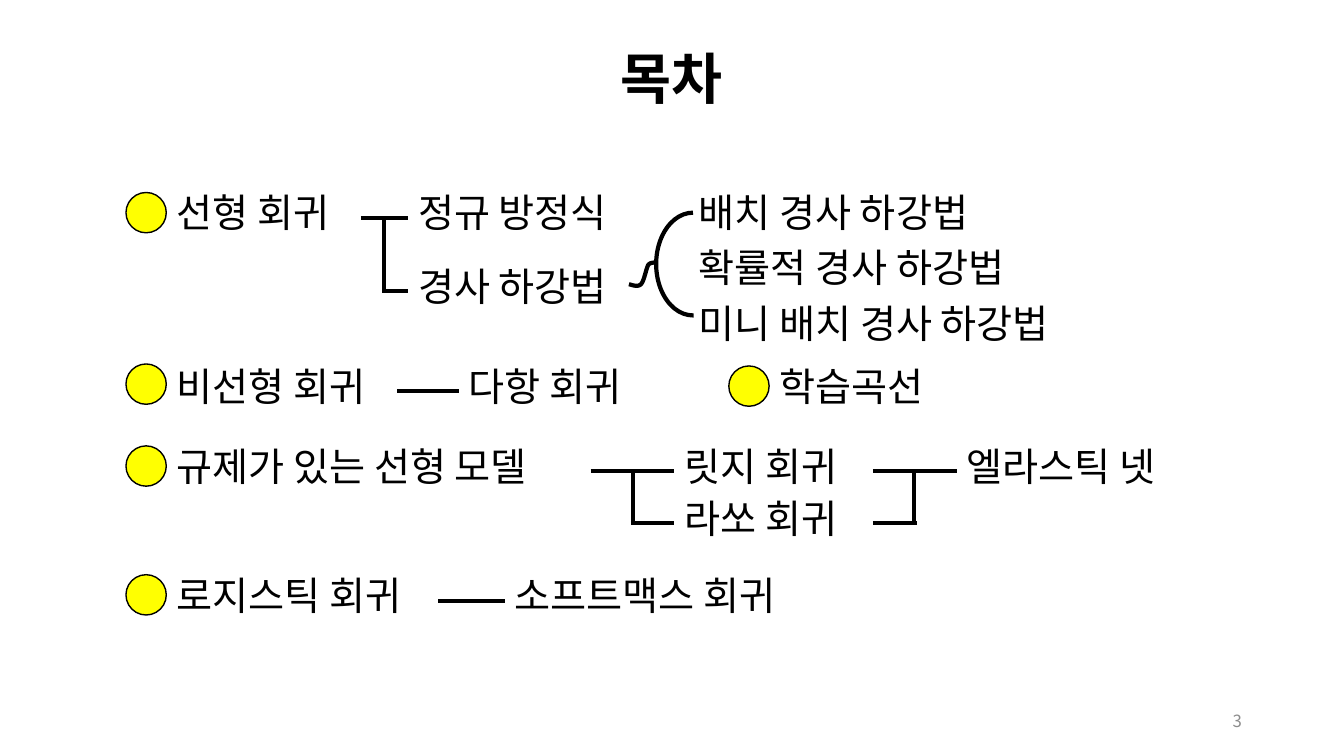
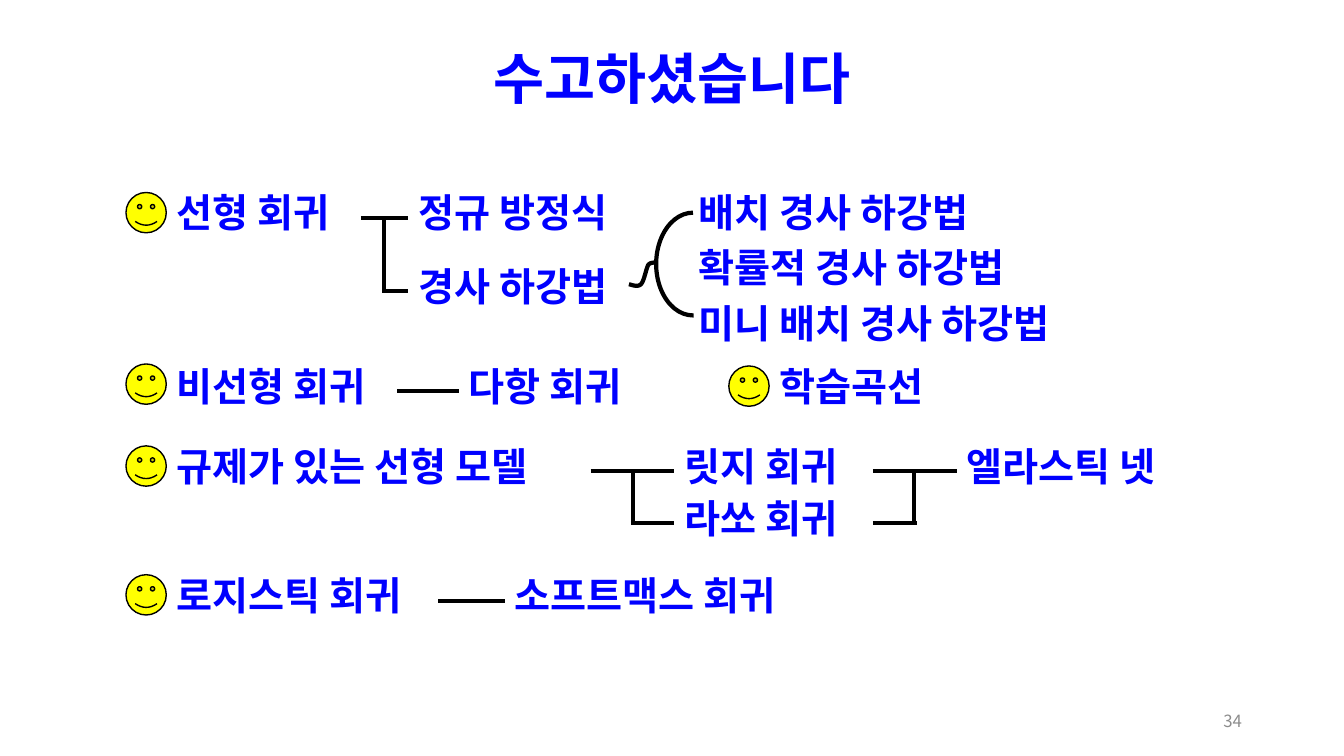
"""Builds the regression outline as an opening and a closing slide."""
from lxml import etree
from pptx import Presentation
from pptx.dml.color import RGBColor
from pptx.enum import shapes, text
from pptx.oxml import ns
from pptx.util import Pt

FONT = "Noto Sans CJK KR"
BLACK = RGBColor(0, 0, 0)
BLUE = RGBColor(0, 0, 255)
YELLOW = RGBColor(255, 255, 1)
GRAY = RGBColor(140, 140, 140)
KIND = shapes.MSO_SHAPE
ALIGN = text.PP_ALIGN
ANCHOR = text.MSO_ANCHOR

SLIDES = [
    {"title": "목차", "number": "3", "color": BLACK, "bold": False, "marker": KIND.OVAL},
    {"title": "수고하셨습니다", "number": "34", "color": BLUE, "bold": True,
     "marker": KIND.SMILEY_FACE},
]
TITLE_AREA = (278, 40.3, 404, 36)
NUMBER_AREA = (678.2, 500.4, 216, 28.8)

TOPIC_HEIGHT = 36
TOPICS = [
    ("선형 회귀", 119, 137.5, 139),
    ("정규 방정식", 291.6, 137.5, 167),
    ("경사 하강법", 291.6, 190, 167),
    ("배치 경사 하강법", 491.8, 137.5, 252),
    ("확률적 경사 하강법", 491.8, 177, 291),
    ("미니 배치 경사 하강법", 491.8, 216.5, 323),
    ("비선형 회귀", 119, 261.4, 164),
    ("다항 회귀", 327.6, 261.4, 189),
    ("학습곡선", 549.4, 262, 189),
    ("규제가 있는 선형 모델", 119, 319, 302),
    ("릿지 회귀", 481.7, 319, 141),
    ("라쏘 회귀", 481.7, 355.7, 141),
    ("엘라스틱 넷", 683.3, 319, 186),
    ("로지스틱 회귀", 119, 411, 194),
    ("소프트맥스 회귀", 360.7, 411, 302),
]
MARKER_SIZE = 28.8
MARKERS = [(90, 137.5), (90, 260), (520.6, 261.4), (90, 318.5), (90, 410.5)]
BRANCHES = [
    (257.8, 155.5, 291.6, 155.5),
    (274.3, 155.5, 274.3, 208),
    (272.9, 208, 291.6, 208),
    (283.7, 279.4, 327.6, 279.4),
    (421.9, 336.2, 481.7, 336.2),
    (452.2, 336.2, 452.2, 373.7),
    (450.7, 373.7, 481.7, 373.7),
    (623.5, 336.2, 683.3, 336.2),
    (653, 336.9, 653, 374.4),
    (623.5, 373.7, 655.2, 373.7),
    (313.2, 429.1, 360.7, 429.1),
]
ARC_AREA = (468.7, 151.9, 52.6, 73.4)
ARC_END = 54.415
TAIL_START = (449.3, 203)
TAIL_CURVES = [
    ((452.2, 203.8), (455.8, 205.2), (457.9, 203)),
    ((460.1, 200.9), (461.5, 192.2), (463, 189.4)),
    ((464.4, 187.2), (467.3, 187.9), (468.7, 187.2)),
]
CURVE_STEPS = 10


def points(values):
    """Convert numbers to lengths in points."""
    return [Pt(value) for value in values]


def add_text(page, words, area, size, color, bold=False, align=ALIGN.LEFT,
             anchor=ANCHOR.TOP, spacing=1.0, before=0):
    """Add one line of styled text."""
    frame = page.shapes.add_textbox(*points(area)).text_frame
    frame.word_wrap = True
    frame.vertical_anchor = anchor
    frame.text = words
    para = frame.paragraphs[0]
    para.alignment = align
    para.line_spacing = spacing
    para.space_before = Pt(before)
    span = para.runs[0]
    span.font.name = FONT
    span.font.size = Pt(size)
    span.font.bold = bold
    span.font.color.rgb = color
    properties = span._r.get_or_add_rPr()
    etree.SubElement(properties, ns.qn("a:ea"), typeface=FONT)


def set_line(shape, width):
    """Give a shape a black line."""
    shape.line.color.rgb = BLACK
    shape.line.width = Pt(width)


def add_branch(page, ends):
    """Add a straight line between two points."""
    branch = page.shapes.add_connector(shapes.MSO_CONNECTOR.STRAIGHT, *points(ends))
    set_line(branch, 3)
    etree.SubElement(branch.element.spPr, ns.qn("a:effectLst"))


def add_brace(page):
    """Add the curved brace that groups the descent methods."""
    arc = page.shapes.add_shape(KIND.ARC, *points(ARC_AREA))
    arc.adjustments[1] = ARC_END
    arc.element.spPr.get_or_add_xfrm().set("flipH", "1")
    vertices, start = [], TAIL_START
    for first, second, end in TAIL_CURVES:
        for step in range(1, CURVE_STEPS + 1):
            t = step / CURVE_STEPS
            weights = ((1 - t) ** 3, 3 * t * (1 - t) ** 2, 3 * t ** 2 * (1 - t), t ** 3)
            vertices.append(points(
                sum(weight * value for weight, value in zip(weights, axis))
                for axis in zip(start, first, second, end)))
        start = end
    builder = page.shapes.build_freeform(*points(TAIL_START))
    builder.add_line_segments(vertices, close=False)
    for stroke in (arc, builder.convert_to_shape()):
        stroke.shadow.inherit = False
        stroke.fill.background()
        set_line(stroke, 3)


def add_marker(page, kind, left, top):
    """Add a yellow topic marker."""
    marker = page.shapes.add_shape(kind, *points((left, top, MARKER_SIZE, MARKER_SIZE)))
    marker.shadow.inherit = False
    marker.fill.solid()
    marker.fill.fore_color.rgb = YELLOW
    set_line(marker, 1)


def add_outline(deck, content):
    """Add one outline slide."""
    page = deck.slides.add_slide(deck.slide_layouts[6])
    color = content["color"]
    add_text(page, content["title"], TITLE_AREA, 39.6, color, True,
             ALIGN.CENTER, ANCHOR.MIDDLE, 0.9)
    for words, left, top, width in TOPICS:
        add_text(page, words, (left, top, width, TOPIC_HEIGHT), 28, color,
                 content["bold"], spacing=0.8, before=10)
    for ends in BRANCHES:
        add_branch(page, ends)
    add_brace(page)
    for left, top in MARKERS:
        add_marker(page, content["marker"], left, top)
    add_text(page, content["number"], NUMBER_AREA, 12, GRAY,
             align=ALIGN.RIGHT, anchor=ANCHOR.MIDDLE)


def main():
    """Build and save the deck."""
    deck = Presentation()
    deck.slide_width, deck.slide_height = Pt(960), Pt(540)
    for content in SLIDES:
        add_outline(deck, content)
    deck.save("out.pptx")


if __name__ == "__main__":
    main()
